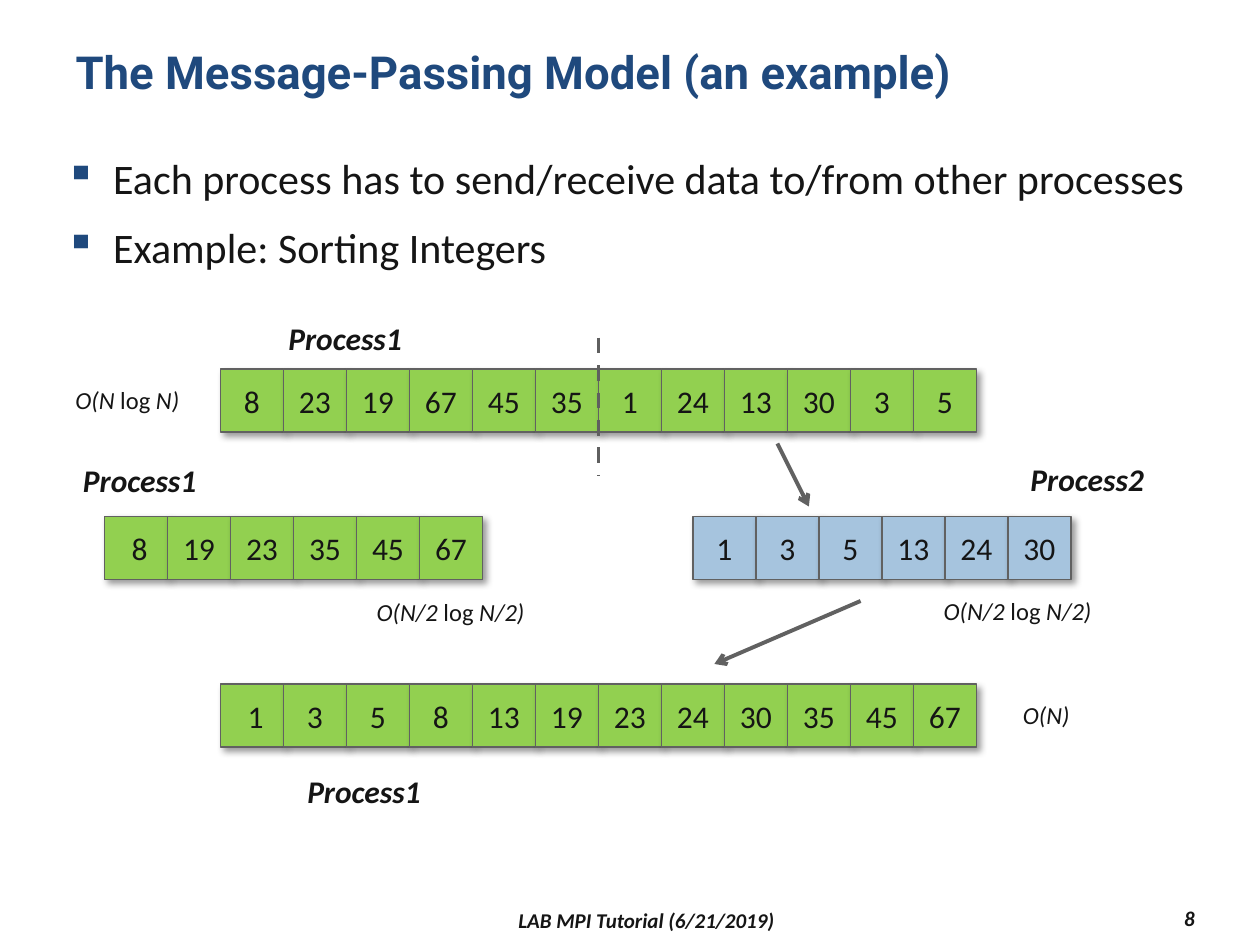
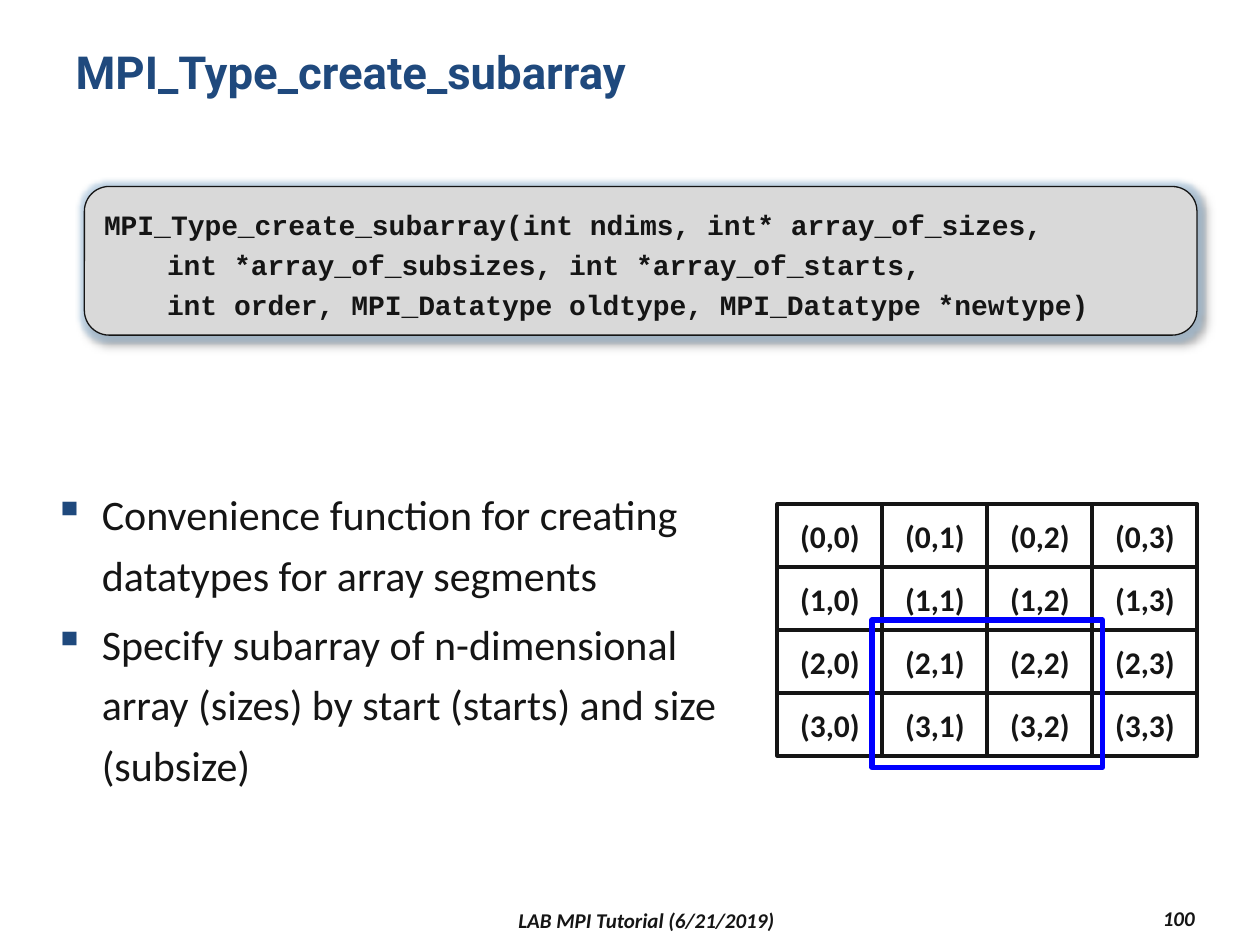
"""Builds two slides on message passing and subarray datatypes."""
from lxml import etree
from pptx import Presentation, util as u
from pptx.dml.color import RGBColor
from pptx.enum import dml, shapes, text
from pptx.oxml.ns import qn

INK, NAVY, GREY = "151515", "1F497D", "616161"
GREEN, BLUE = "92D050", "A6C4DE"
LEFT, MID, RIGHT = text.PP_ALIGN.LEFT, text.PP_ALIGN.CENTER, text.PP_ALIGN.RIGHT
RECT = shapes.MSO_SHAPE.RECTANGLE
ROUND = shapes.MSO_SHAPE.ROUNDED_RECTANGLE


def rgb(code):
    return RGBColor.from_string(code)


def box(*vals):
    return [u.Inches(v) for v in vals]


def add(node, tag, **attrs):
    return etree.SubElement(node, qn(tag), {k: str(v) for k, v in attrs.items()})


def tint(node, code, alpha):
    add(add(node, "a:srgbClr", val=code), "a:alpha", val=alpha * 1000)


class Deck:
    def __init__(self):
        self.prs = Presentation()
        self.prs.slide_width, self.prs.slide_height = box(10, 7.5)

    def page(self, title, number):
        self.slide = self.prs.slides.add_slide(self.prs.slide_layouts[5])
        head = self.slide.shapes.title
        head.left, head.top, head.width, head.height = box(0.5, 0.3, 9, 0.87)
        frame = head.text_frame
        frame.text = title
        frame.auto_size = text.MSO_AUTO_SIZE.NONE
        frame.vertical_anchor = text.MSO_ANCHOR.TOP
        self.style(frame.paragraphs[0], 26, NAVY, "Roboto", bold=True)
        self.note("LAB MPI Tutorial (6/21/2019)", 2.17, 7.17, 5.92, MID)
        self.note(number, 8.5, 7.15, 1.08, RIGHT)

    def style(self, para, size, color=INK, face="Calibri", bold=False,
              italic=False, align=LEFT):
        para.alignment = align
        font = para.font
        font.name, font.size, font.bold, font.italic = face, u.Pt(size), bold, italic
        font.color.rgb = rgb(color)

    def frame(self, x, y, w, h, wrap=True):
        frame = self.slide.shapes.add_textbox(*box(x, y, w, h)).text_frame
        frame.word_wrap = wrap
        return frame

    def note(self, words, x, y, w, align):
        frame = self.frame(x, y, w, 0.27)
        frame.vertical_anchor = text.MSO_ANCHOR.MIDDLE
        frame.text = words
        self.style(frame.paragraphs[0], 12, bold=True, italic=True, align=align)

    def label(self, words, x, y, w):
        frame = self.frame(x, y, w, 0.4, wrap=False)
        frame.text = words
        self.style(frame.paragraphs[0], 18, bold=True, italic=True)

    def cost(self, parts, x, y, w):
        para = self.frame(x, y, w, 0.34, wrap=False).paragraphs[0]
        self.style(para, 14, italic=True)
        for part in parts:
            run = para.add_run()
            run.text = part
            if part == "log":
                run.font.italic = False

    def bullets(self, items, x, y, w, h):
        frame = self.frame(x, y, w, h)
        frame.text = "\n".join(items)
        for para in frame.paragraphs:
            props = para._p.get_or_add_pPr()
            props.set("marL", str(u.Inches(0.38)))
            props.set("indent", str(u.Inches(-0.38)))
            add(add(props, "a:buClr"), "a:srgbClr", val=NAVY)
            add(props, "a:buChar", char="▪")
            para.line_spacing, para.space_before = 1.2, u.Pt(4.8)
            self.style(para, 24)

    def shape(self, kind, x, y, w, h, line, width, fill=None, shade=False, glow=False):
        item = self.slide.shapes.add_shape(kind, *box(x, y, w, h))
        item.shadow.inherit = False
        if fill:
            item.fill.solid()
            item.fill.fore_color.rgb = rgb(fill)
        else:
            item.fill.background()
        item.line.color.rgb, item.line.width = rgb(line), u.Pt(width)
        effects = item._element.spPr.find(qn("a:effectLst"))
        if glow:
            tint(add(effects, "a:glow", rad=u.Pt(5)), BLUE, 60)
        if shade:
            tint(add(effects, "a:outerShdw", blurRad=u.Pt(4), dist=u.Pt(3),
                     dir=45 * 60000, algn="tl", rotWithShape=0), "000000", 40)
        item.text_frame.vertical_anchor = text.MSO_ANCHOR.MIDDLE
        return item

    def cell(self, words, x, y, w, line, width, bold=False, **look):
        frame = self.shape(RECT, x, y, w, 0.5, line, width, **look).text_frame
        frame.text = words
        self.style(frame.paragraphs[0], 18, bold=bold, align=MID)

    def row(self, values, x, y, fill):
        for i, value in enumerate(values.split(",")):
            self.cell(value, x + i * 0.5, y, 0.5, GREY, 0.75, fill=fill, shade=True)

    def code(self, lines, x, y, w, h):
        frame = self.shape(ROUND, x, y, w, h, INK, 0.75, "D9D9D9",
                           shade=True, glow=True).text_frame
        frame.text = "\n".join(lines)
        for para in frame.paragraphs:
            para.line_spacing = 1.2
            self.style(para, 16, face="Courier New", bold=True)

    def line(self, x1, y1, x2, y2, color=GREY, arrow=True):
        item = self.slide.shapes.add_connector(
            shapes.MSO_CONNECTOR.STRAIGHT, *box(x1, y1, x2, y2))
        item.line.color.rgb, item.line.width = rgb(color), u.Pt(2.25)
        if arrow:
            add(item.line._get_or_add_ln(), "a:tailEnd", type="arrow")
        else:
            item.line.dash_style = dml.MSO_LINE.DASH
        add(item._element.spPr, "a:effectLst")


def sorting(deck):
    deck.page("The Message-Passing Model (an example)", "8")
    deck.bullets(["Each process has to send/receive data to/from other processes",
                  "Example: Sorting Integers"], 0.42, 1.08, 9.17, 1.17)
    deck.row("8,23,19,67,45,35,1,24,13,30,3,5", 1.75, 2.93, GREEN)
    deck.row(" 8,19,23,35,45,67", 0.83, 4.1, GREEN)
    deck.row("1,3,5,13,24,30", 5.5, 4.1, BLUE)
    deck.row(" 1,3,5,8,13,19,23,24,30,35,45,67", 1.75, 5.43, GREEN)
    for name, x, y in (("Process1", 2.19, 2.48), ("Process1", 0.56, 3.61),
                       ("Process2", 8.08, 3.6), ("Process1", 2.34, 6.08)):
        deck.label(name, x, y, 1.11)
    half = ["O(N/2 ", "log", " N/2)"]
    deck.cost(["O(N ", "log", " N)"], 0.5, 3.01, 1.03)
    deck.cost(half, 2.89, 4.69, 1.38)
    deck.cost(half, 7.39, 4.68, 1.38)
    deck.cost(["O(N)"], 8.02, 5.51, 0.58)
    deck.line(6.17, 3.52, 6.42, 4.02)
    deck.line(6.83, 4.77, 5.67, 5.27)
    deck.line(4.75, 2.68, 4.75, 3.77, "5F5F5F", arrow=False)


def subarray(deck):
    deck.page("MPI_Type_create_subarray", "100")
    deck.bullets(["Convenience function for creating datatypes for array segments",
                  "Specify subarray of n-dimensional array (sizes) by start "
                  "(starts) and size (subsize)"], 0.33, 3.75, 5.5, 3.42)
    wide = 2.5 / 3
    for r in range(4):
        for c in range(4):
            deck.cell(f"({r},{c})", 6.17 + c * wide, 4 + r * 0.5, wide, INK, 2.25,
                      bold=True)
    deck.shape(RECT, 6.92, 4.92, 1.83, 1.17, "0000FF", 3)
    deck.code(["MPI_Type_create_subarray(int ndims, int* array_of_sizes,",
               "\tint *array_of_subsizes, int *array_of_starts,",
               "\tint order, MPI_Datatype oldtype, MPI_Datatype *newtype)"],
              0.67, 1.48, 8.83, 1.18)


def main():
    deck = Deck()
    sorting(deck)
    subarray(deck)
    deck.prs.save("out.pptx")


if __name__ == "__main__":
    main()
